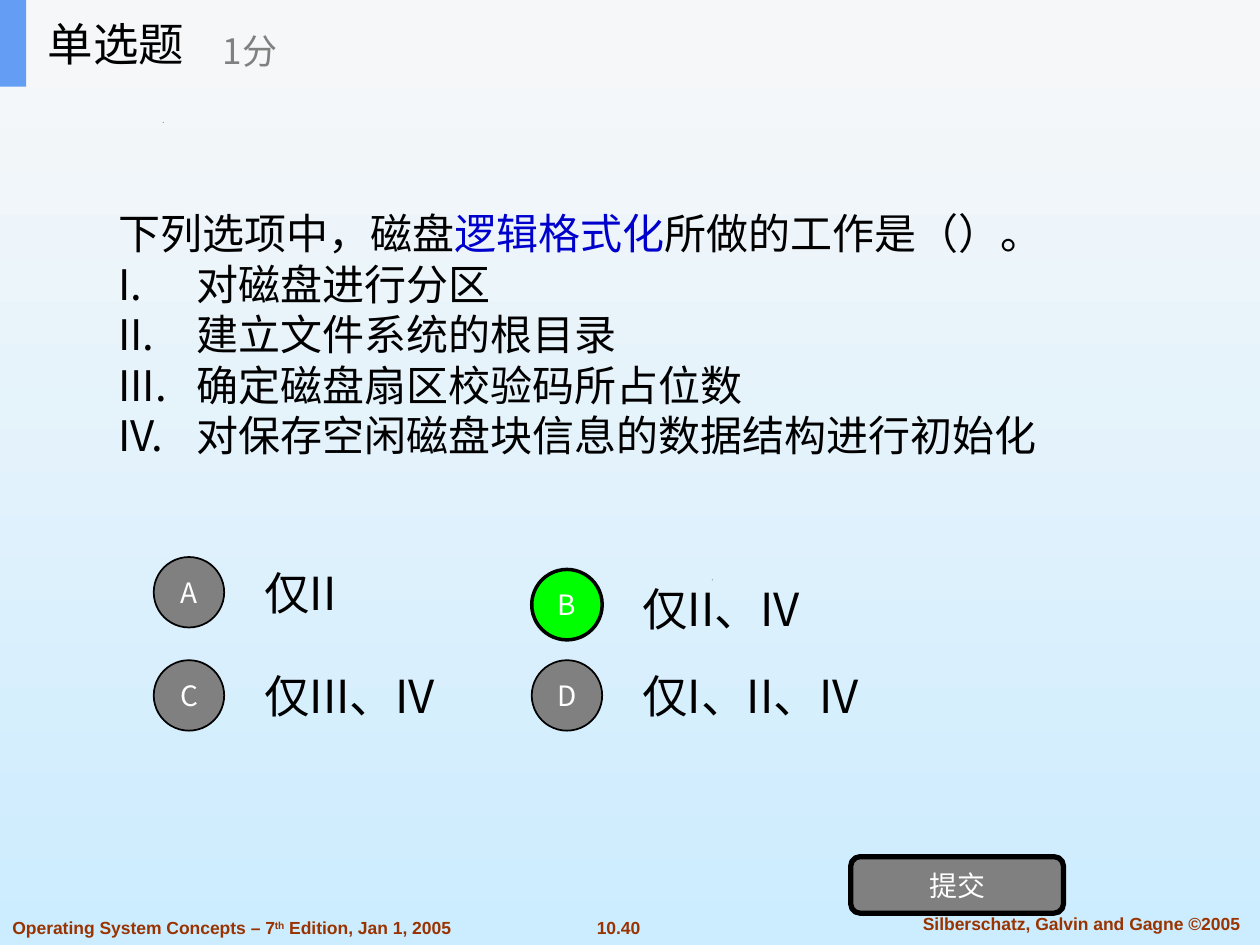
from dataclasses import dataclass

from lxml.etree import SubElement
from pptx import Presentation
from pptx.dml.color import RGBColor
from pptx.enum.shapes import MSO_SHAPE
from pptx.enum.text import MSO_ANCHOR, MSO_AUTO_SIZE, PP_ALIGN
from pptx.oxml.ns import qn
from pptx.util import Cm, Pt

CJK = "Noto Sans CJK SC"
BLACK, GREY, WHITE, BROWN = "000000", "808080", "FFFFFF", "993300"
FRAME = {
    "word_wrap": True,
    "auto_size": MSO_AUTO_SIZE.NONE,
    "vertical_anchor": MSO_ANCHOR.MIDDLE,
}


@dataclass
class Box:
    left: float
    top: float
    width: float
    height: float

    def lengths(self) -> list:
        return [Cm(v) for v in (self.left, self.top, self.width, self.height)]


@dataclass
class Option:
    letter: str
    text: str
    left: float
    top: float
    text_top: float
    text_width: float
    fill: str = GREY
    line: float = 1


OPTIONS = [
    Option("A", "仅II", 3.1, 11.23, 11.05, 6.15),
    Option("B", "仅II、IV", 10.72, 11.48, 11.38, 4.47, "00FF00", 2),
    Option("C", "仅III、IV", 3.1, 13.31, 13.13, 4.9),
    Option("D", "仅I、II、IV", 10.72, 13.31, 13.13, 5.51),
]
QUESTION = [("下列选项中，磁盘", BLACK), ("逻辑格式化", "0000CC"), ("所做的工作是（）。", BLACK)]
STATEMENTS = [
    "对磁盘进行分区",
    "建立文件系统的根目录",
    "确定磁盘扇区校验码所占位数",
    "对保存空闲磁盘块信息的数据结构进行初始化",
]
SPECKS = [(3.28, 2.46), (14.35, 11.68)]


def rgb(color: str) -> RGBColor:
    return RGBColor.from_string(color)


def set_attrs(target, values: dict) -> None:
    for name, value in values.items():
        setattr(target, name, value)


def add_run(p, text: str, size: float, color: str, font: str = CJK, bold: bool = False):
    r = p.add_run()
    r.text = text
    set_attrs(r.font, {"size": Pt(size), "name": font, "bold": bold})
    r.font.color.rgb = rgb(color)
    SubElement(r.font._element, qn("a:ea")).set("typeface", font)
    return r


def place(sp, box: Box) -> None:
    set_attrs(sp, dict(zip(("left", "top", "width", "height"), box.lengths())))


def add_text(s, box: Box, text: str, size: float, color: str):
    sp = s.shapes.add_textbox(*box.lengths())
    set_attrs(sp.text_frame, FRAME)
    add_run(sp.text_frame.paragraphs[0], text, size, color)


def add_block(s, kind, box: Box, fill: str, line: float = 0, label: str = ""):
    """Filled shape with a black outline and a white label, both optional."""
    sp = s.shapes.add_shape(kind, *box.lengths())
    sp.shadow.inherit = False
    sp.fill.solid()
    sp.fill.fore_color.rgb = rgb(fill)
    if line:
        sp.line.color.rgb = rgb(BLACK)
        sp.line.width = Pt(line)
    else:
        sp.line.fill.background()
    if label:
        set_attrs(sp.text_frame, FRAME | {"word_wrap": False})
        p = sp.text_frame.paragraphs[0]
        p.alignment = PP_ALIGN.CENTER
        add_run(p, label, 16, WHITE)


def add_speck(s, left: float, top: float) -> None:
    builder = s.shapes.build_freeform(Cm(left), Cm(top + 0.02))
    builder.add_line_segments([(Cm(left + 0.02), Cm(top)), (Cm(left + 0.01), Cm(top + 0.02))])
    sp = builder.convert_to_shape()
    sp.shadow.inherit = False
    sp.fill.solid()
    sp.fill.fore_color.rgb = rgb(BLACK)
    sp.line.fill.background()


def add_footer(s, box: Box, parts: list, align, wrap: bool) -> None:
    """Footer line whose every second part is superscript."""
    tf = s.shapes.add_textbox(*box.lengths()).text_frame
    tf.word_wrap = wrap
    p = tf.paragraphs[0]
    p.alignment = align
    for i, part in enumerate(parts):
        r = add_run(p, part, 10, BROWN, "Arial", True)
        if i % 2:
            r.font._element.set("baseline", "30000")


def set_bullet(p, numbered: bool) -> None:
    pPr = p._p.get_or_add_pPr()
    indent = Cm(1.57) if numbered else 0
    pPr.set("marL", str(indent))
    pPr.set("indent", str(-indent))
    if numbered:
        SubElement(pPr, qn("a:buFont")).set("typeface", CJK)
        SubElement(pPr, qn("a:buAutoNum")).set("type", "romanUcPeriod")
    else:
        SubElement(pPr, qn("a:buNone"))
    set_attrs(p, {"space_before": Pt(0), "line_spacing": 1.0, "alignment": PP_ALIGN.LEFT})


def fill_question(sp) -> None:
    place(sp, Box(2.13, 3.76, 21.82, 5.94))
    tf = sp.text_frame
    set_attrs(tf, FRAME)
    p = tf.paragraphs[0]
    set_bullet(p, False)
    for text, color in QUESTION:
        add_run(p, text, 24, color)
    for statement in STATEMENTS:
        p = tf.add_paragraph()
        set_bullet(p, True)
        add_run(p, statement, 24, BLACK)


def add_header(s) -> None:
    add_block(s, MSO_SHAPE.RECTANGLE, Box(0, 0, 25.4, 1.75), "F6F7F8")
    add_block(s, MSO_SHAPE.RECTANGLE, Box(0, 0, 0.53, 1.75), "639EF4")
    title = s.shapes.title
    title.element.getparent().append(title.element)  # in front of the band
    place(title, Box(0.71, 0, 5.28, 1.75))
    set_attrs(title.text_frame, FRAME)
    p = title.text_frame.paragraphs[0]
    p.alignment = PP_ALIGN.LEFT
    add_run(p, "单选题", 26, BLACK)
    add_text(s, Box(4.24, 0.3, 6.35, 1.42), "1分", 20, GREY)


def set_background(s) -> None:
    fill = s.background.fill
    fill.gradient()
    fill.gradient_angle = 270
    for stop, color in zip(fill.gradient_stops, ("F8F8F8", "CCECFF")):
        stop.color.rgb = rgb(color)


def main() -> None:
    prs = Presentation()
    prs.slide_width, prs.slide_height = Cm(25.4), Cm(19.05)
    s = prs.slides.add_slide(prs.slide_layouts[1])
    set_background(s)
    add_footer(s, Box(11.76, 18.36, 1.42, 0.69), ["10.40"], PP_ALIGN.CENTER, False)
    add_footer(s, Box(18.03, 18.29, 7.54, 0.69), ["Silberschatz, Galvin and Gagne ©2005"],
               PP_ALIGN.CENTER, True)
    add_footer(s, Box(0, 18.36, 9.37, 0.69),
               ["Operating System Concepts – 7", "th", " Edition, Jan 1, 2005"], PP_ALIGN.LEFT, True)
    for left, top in SPECKS:
        add_speck(s, left, top)
    fill_question(s.placeholders[1])
    for o in OPTIONS:
        add_text(s, Box(o.left + 1.98, o.text_top, o.text_width, 1.78), o.text, 26, BLACK)
        add_block(s, MSO_SHAPE.OVAL, Box(o.left, o.top, 1.42, 1.42), o.fill, o.line, o.letter)
    add_block(s, MSO_SHAPE.ROUNDED_RECTANGLE, Box(17.15, 17.27, 4.29, 1.14), GREY, 3, "提交")
    add_header(s)
    prs.save("out.pptx")


if __name__ == "__main__":
    main()
